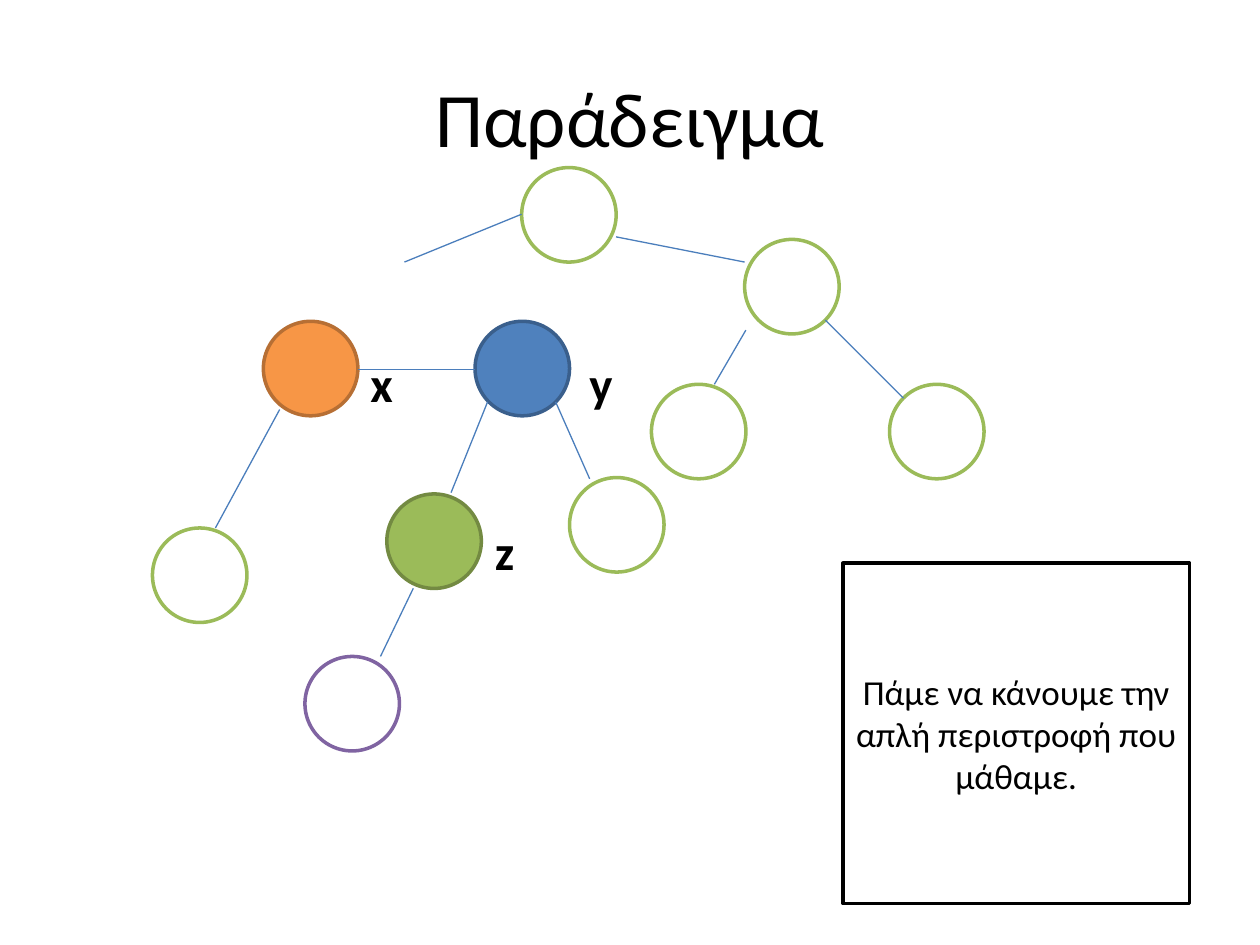
from lxml import etree
from pptx import Presentation
from pptx.dml.color import RGBColor
from pptx.enum.shapes import MSO_CONNECTOR, MSO_SHAPE
from pptx.enum.text import MSO_ANCHOR, MSO_AUTO_SIZE, PP_ALIGN
from pptx.oxml.ns import qn
from pptx.util import Inches, Pt

WHITE = RGBColor(0xFF, 0xFF, 0xFF)
BLACK = RGBColor(0x00, 0x00, 0x00)
ORANGE = RGBColor(0xF7, 0x96, 0x46)
DARK_ORANGE = RGBColor(0xB7, 0x6F, 0x34)
BLUE = RGBColor(0x4F, 0x81, 0xBD)
DARK_BLUE = RGBColor(0x3A, 0x5F, 0x8C)
GREEN = RGBColor(0x9B, 0xBB, 0x59)
DARK_GREEN = RGBColor(0x73, 0x8A, 0x42)
PURPLE = RGBColor(0x80, 0x64, 0xA2)
EDGE_BLUE = RGBColor(0x4B, 0x7E, 0xBC)

FONT = "Calibri"
NODE_SIZE = 0.75

NODES = [
    (0.88, 1.22, ORANGE, DARK_ORANGE),
    (2.93, 0, WHITE, GREEN),
    (4.7, 0.57, WHITE, GREEN),
    (2.56, 1.22, BLUE, DARK_BLUE),
    (5.85, 1.72, WHITE, GREEN),
    (3.31, 2.46, WHITE, GREEN),
    (3.96, 1.72, WHITE, GREEN),
    (0, 2.86, WHITE, GREEN),
    (1.86, 2.59, GREEN, DARK_GREEN),
    (1.21, 3.88, WHITE, PURPLE),
]
EDGES = [
    (2.93, 0.37, 2, 0.75),
    (0.5, 2.86, 1.01, 1.92),
    (2.56, 1.6, 1.63, 1.6),
    (4.7, 0.75, 3.68, 0.55),
    (4.71, 1.29, 4.46, 1.72),
    (5.34, 1.21, 5.96, 1.83),
    (3.2, 1.86, 3.47, 2.47),
    (2.66, 1.86, 2.37, 2.58),
    (2.07, 3.34, 1.81, 3.88),
]
LABELS = [("x", 1.63, 1.43), ("y", 3.37, 1.43), ("z", 2.62, 2.76)]


def write_text(shape, text, size, bold=False, align=PP_ALIGN.LEFT, anchor=MSO_ANCHOR.TOP):
    """Put one styled paragraph into a shape."""
    frame = shape.text_frame
    frame.word_wrap = True
    frame.vertical_anchor = anchor
    paragraph = frame.paragraphs[0]
    paragraph.text = text
    paragraph.alignment = align
    paragraph.font.name = FONT
    paragraph.font.size = Pt(size)
    paragraph.font.bold = bold
    paragraph.font.color.rgb = BLACK


def add_outlined(slide, kind, left, top, width, height, fill, line):
    """Add a filled preset shape with a 2 pt outline."""
    shape = slide.shapes.add_shape(kind, Inches(left), Inches(top), Inches(width), Inches(height))
    shape.shadow.inherit = False
    shape.fill.solid()
    shape.fill.fore_color.rgb = fill
    shape.line.color.rgb = line
    shape.line.width = Pt(2)
    return shape


def add_edge(slide, x1, y1, x2, y2):
    """Add a thin straight edge without a shadow."""
    edge = slide.shapes.add_connector(
        MSO_CONNECTOR.STRAIGHT, Inches(x1), Inches(y1), Inches(x2), Inches(y2))
    edge.line.color.rgb = EDGE_BLUE
    edge.line.width = Pt(0.75)
    etree.SubElement(edge._element.spPr, qn("a:effectLst"))


def add_title(slide, left, top, width, height):
    """Add the centred slide title."""
    title = slide.shapes.add_textbox(Inches(left), Inches(top), Inches(width), Inches(height))
    write_text(title, "Παράδειγμα", 44, align=PP_ALIGN.CENTER, anchor=MSO_ANCHOR.MIDDLE)


def add_tree(slide, left, top):
    """Draw the tree's nodes, edges and letters from its top left corner."""
    for x, y, fill, line in NODES:
        add_outlined(slide, MSO_SHAPE.OVAL, left + x, top + y, NODE_SIZE, NODE_SIZE, fill, line)
    for x1, y1, x2, y2 in EDGES:
        add_edge(slide, left + x1, top + y1, left + x2, top + y2)
    for letter, x, y in LABELS:
        label = slide.shapes.add_textbox(
            Inches(left + x), Inches(top + y), Inches(0.75), Inches(0.57))
        write_text(label, letter, 28, bold=True)
        label.text_frame.auto_size = MSO_AUTO_SIZE.SHAPE_TO_FIT_TEXT


def add_callout(slide, left, top, width, height):
    """Add the boxed remark with its short pointer."""
    callout = add_outlined(
        slide, MSO_SHAPE.LINE_CALLOUT_1, left, top, width, height, WHITE, BLACK)
    for index, value in enumerate((0.35, -0.01, 0.35, -0.01)):
        callout.adjustments[index] = value
    write_text(callout, "Πάμε να κάνουμε την απλή περιστροφή που μάθαμε.", 20,
               align=PP_ALIGN.CENTER, anchor=MSO_ANCHOR.MIDDLE)


def main():
    """Build the slide and save it."""
    presentation = Presentation()
    presentation.slide_width = Inches(10)
    presentation.slide_height = Inches(7.5)
    slide = presentation.slides.add_slide(presentation.slide_layouts[6])
    add_title(slide, 0.5, 0.3, 9, 1.25)
    add_tree(slide, 1.21, 1.33)
    add_callout(slide, 6.69, 4.47, 2.75, 2.7)
    presentation.save("out.pptx")


if __name__ == "__main__":
    main()
